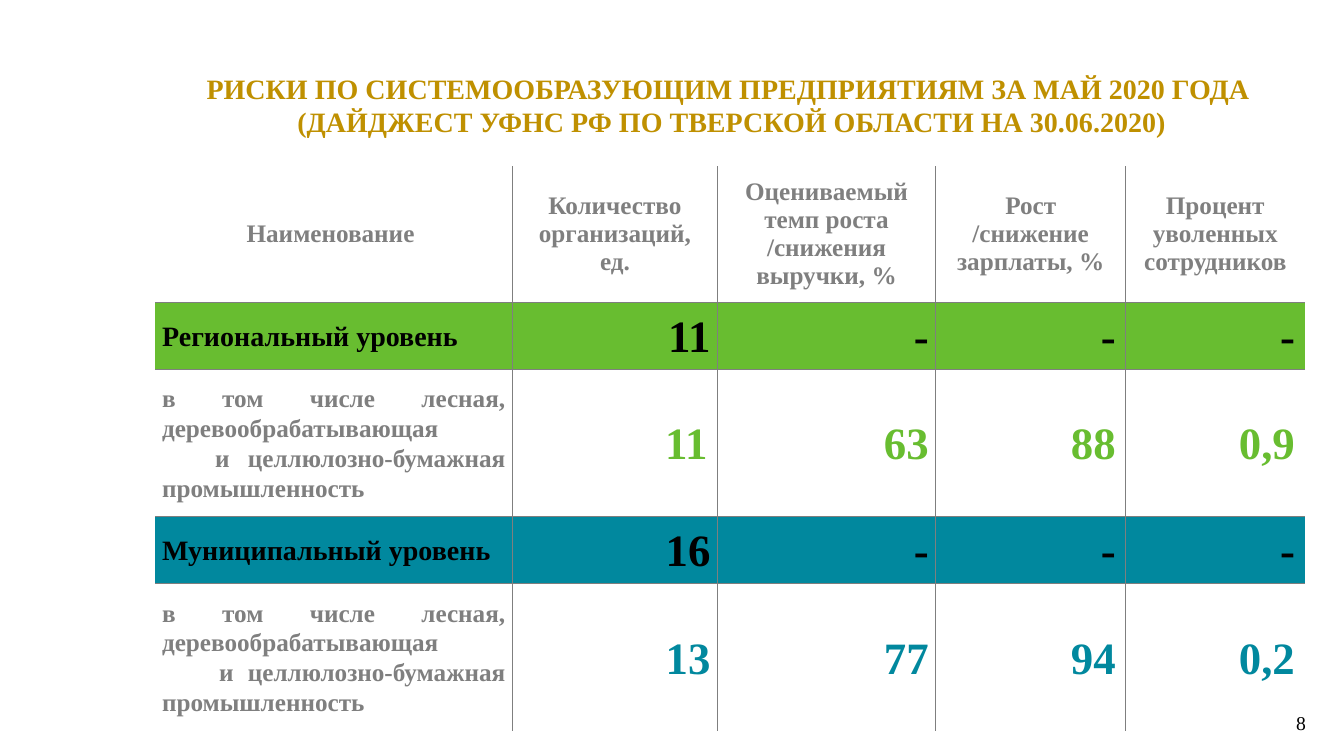
from lxml.etree import SubElement
from pptx import Presentation
from pptx.dml.color import RGBColor
from pptx.enum.text import MSO_ANCHOR as Anchor, MSO_AUTO_SIZE as Fit, PP_ALIGN as Align
from pptx.oxml.ns import qn
from pptx.util import Pt

SCALE = 9080  # EMU in one px
GOLD, GREY, BLACK = "BF9000", "7F7F7F", "000000"
GREEN, TEAL = "68BD30", "01889E"


def px(n):
    return n * SCALE


def rgb(code):
    return RGBColor.from_string(code)


class Deck:
    font = "Times New Roman"

    def __init__(self, wide, high):
        self.prs = Presentation()
        self.prs.slide_width, self.prs.slide_height = px(wide), px(high)
        self.slide = self.prs.slides.add_slide(self.prs.slide_layouts[5])

    def fill_in(self, frame, lines, size, color, align, bold=True, space=None, indent=0):
        for i, line in enumerate(lines):
            para = frame.paragraphs[0] if i == 0 else frame.add_paragraph()
            para.alignment = align
            if space:
                para.line_spacing = space
            if i and indent:
                para._p.get_or_add_pPr().set("indent", str(px(indent)))
            run = para.add_run()
            run.text = line
            font = run.font
            font.name, font.size, font.bold = self.font, Pt(size), bold
            font.color.rgb = rgb(color)

    def place(self, shape, box, anchor):
        shape.left, shape.top, shape.width, shape.height = map(px, box)
        frame = shape.text_frame
        frame.word_wrap, frame.auto_size = True, Fit.NONE
        frame.vertical_anchor = anchor
        return frame

    def title(self, box, lines):
        frame = self.place(self.slide.shapes.title, box, Anchor.TOP)
        self.fill_in(frame, lines, 20, GOLD, Align.CENTER)

    def text(self, box, line, size, color, align):
        shape = self.slide.shapes.add_textbox(0, 0, 0, 0)
        frame = self.place(shape, box, Anchor.MIDDLE)
        self.fill_in(frame, [line], size, color, align, bold=False)

    def table(self, left, top, cols, rows):
        frame = self.slide.shapes.add_table(
            len(rows), len(cols), px(left), px(top), px(sum(cols)), px(sum(rows)))
        grid = frame.table
        grid.first_row = grid.horz_banding = False
        for col, size in zip(grid.columns, cols):
            col.width = px(size)
        for row, size in zip(grid.rows, rows):
            row.height = px(size)
        return grid

    def cell(self, grid, r, c, pad, fill, lines, *style, **more):
        cell = grid.cell(r, c)
        cell.vertical_anchor = Anchor.MIDDLE
        cell.margin_left = cell.margin_right = px(pad)
        cell.margin_top = cell.margin_bottom = px(5)
        self.fill_in(cell.text_frame, lines, *style, **more)
        # Inner borders only
        inner = {"L": c > 0, "R": c < len(grid.columns) - 1,
                 "T": r > 0, "B": r < len(grid.rows) - 1}
        props = cell._tc.get_or_add_tcPr()
        for side, shown in inner.items():
            line = SubElement(props, qn(f"a:ln{side}"), w=str(Pt(0.75)))
            if shown:
                paint = SubElement(line, qn("a:solidFill"))
                SubElement(paint, qn("a:srgbClr"), val=GREY)
            else:
                SubElement(line, qn("a:noFill"))
        if fill:
            cell.fill.solid()
            cell.fill.fore_color.rgb = rgb(fill)
        else:
            cell.fill.background()


def main():
    deck = Deck(1343, 755)

    # Title and page number
    deck.title((120, 66, 1222, 78), [
        "РИСКИ ПО СИСТЕМООБРАЗУЮЩИМ ПРЕДПРИЯТИЯМ ЗА МАЙ 2020 ГОДА ",
        "(ДАЙДЖЕСТ УФНС РФ ПО ТВЕРСКОЙ ОБЛАСТИ НА 30.06.2020)"])
    deck.text((1013, 702, 302, 40), "8", 14, BLACK, Align.RIGHT)

    # Table header
    grid = deck.table(155, 166, (357, 205, 218, 190, 179), (136, 67, 147, 67, 147))
    heads = ("Наименование ", "Количество организаций, ед.",
             "Оцениваемый темп роста /снижения выручки, %",
             "Рост /снижение зарплаты, %", "Процент уволенных сотрудников")
    for c, head in enumerate(heads):
        deck.cell(grid, 0, c, 12, None, [head], 18, GREY, Align.CENTER)

    # Each level: a filled total row, then its industry row
    wood = ["в том числе лесная, деревообрабатывающая",
            "и целлюлозно-бумажная промышленность"]
    levels = (
        ("Региональный уровень", GREEN, "11", ("11", "63", "88", "0,9"), 10, 53),
        ("Муниципальный уровень", TEAL, "16", ("13", "77", "94", "0,2"), 7, 57))
    for i, (name, tone, total, values, pad, indent) in enumerate(levels):
        r = 1 + 2 * i
        deck.cell(grid, r, 0, 7, tone, [name], 20, BLACK, Align.JUSTIFY, space=1.07)
        deck.cell(grid, r + 1, 0, 7, None, wood, 18, GREY, Align.JUSTIFY,
                  space=1.07, indent=indent)
        totals = (total, "-", "-", "-")
        for row, fill, color, texts, pads in (
                (r, tone, BLACK, totals, (7, 7, 10, 10)),
                (r + 1, None, tone, values, (pad, 7, 10, 10))):
            for c, (text, gap) in enumerate(zip(texts, pads), 1):
                deck.cell(grid, row, c, gap, fill, [text], 32, color,
                          Align.RIGHT, space=1.07)

    deck.prs.save("out.pptx")


if __name__ == "__main__":
    main()
